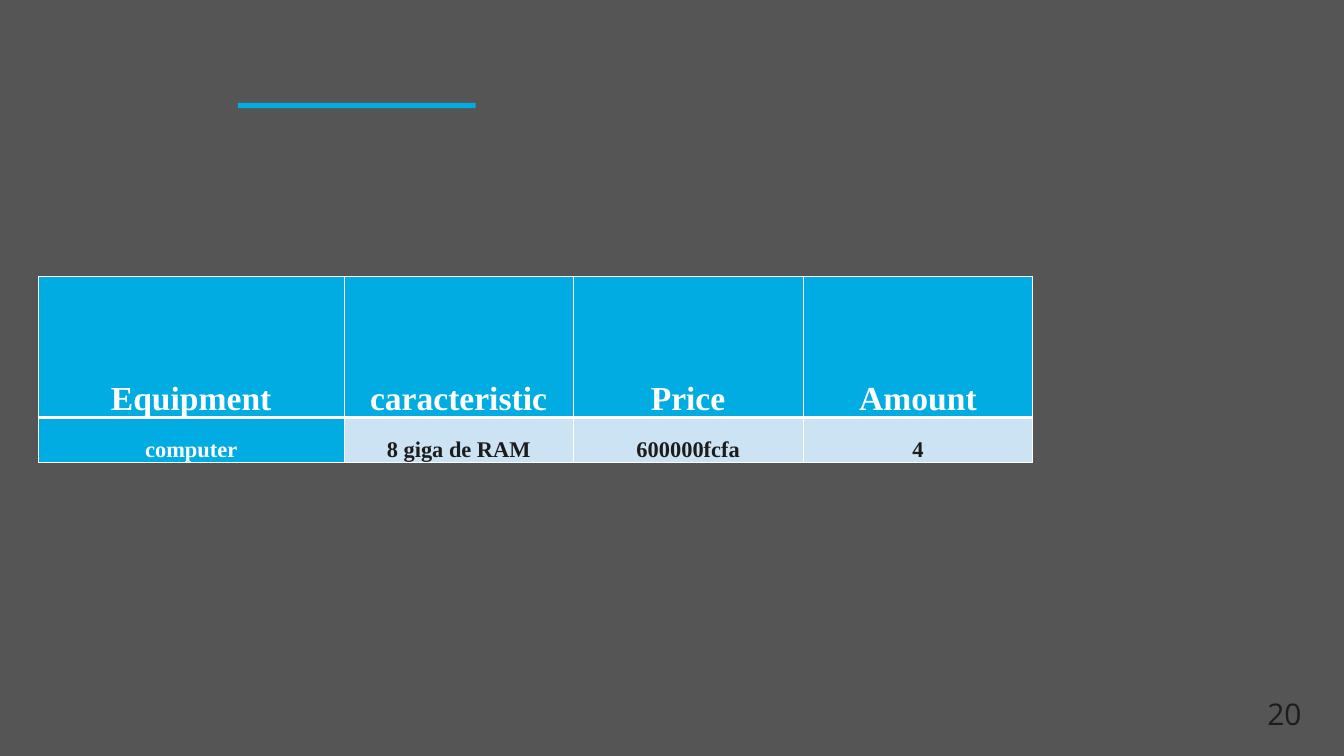
from lxml.etree import SubElement
from pptx import Presentation
from pptx.dml.color import RGBColor
from pptx.enum.shapes import MSO_SHAPE
from pptx.enum.text import MSO_ANCHOR, PP_ALIGN
from pptx.oxml.ns import qn
from pptx.util import Inches, Pt

BACKGROUND = "555555"
ACCENT = "00ACE2"
PALE_BLUE = "CCE3F4"
WHITE = "FFFFFF"
DARK = "1C1C1C"

EQUIPMENT = [
    ["Equipment", "caracteristic", "Price", "Amount"],
    ["computer", "8 giga de RAM", "600000fcfa", "4"],
]
COLUMN_WIDTHS = [4.55, 3.41, 3.42, 3.42]
ROW_HEIGHTS = [2.09, 0.67]


def paint(fill, color):
    fill.solid()
    fill.fore_color.rgb = RGBColor.from_string(color)


def write(text_frame, text, *, size, font, color, bold=False,
          align=PP_ALIGN.LEFT, spacing=1.0):
    paragraph = text_frame.paragraphs[0]
    paragraph.alignment = align
    paragraph.line_spacing = spacing
    run = paragraph.add_run()
    run.text = text
    run.font.size = Pt(size)
    run.font.name = font
    run.font.bold = bold
    run.font.color.rgb = RGBColor.from_string(color)


def set_borders(cell, color, **widths):
    """Draw the cell's sides; the lines must come before the fill."""
    properties = cell._tc.get_or_add_tcPr()
    for position, side in enumerate(("L", "R", "T", "B")):
        line = SubElement(properties, qn(f"a:ln{side}"),
                          w=str(Pt(widths.get(side, 1))))
        solid = SubElement(line, qn("a:solidFill"))
        SubElement(solid, qn("a:srgbClr"), val=color)
        properties.insert(position, line)


def add_accent_bar(slide, left, top, width, height):
    shape = slide.shapes.add_shape(MSO_SHAPE.RECTANGLE, Inches(left),
                                   Inches(top), Inches(width), Inches(height))
    shape.shadow.inherit = False
    paint(shape.fill, ACCENT)
    shape.line.fill.background()


def add_slide_number(slide, number):
    box = slide.shapes.add_textbox(Inches(18.76), Inches(10.32),
                                   Inches(1.18), Inches(0.6))
    text_frame = box.text_frame
    text_frame.word_wrap = True
    text_frame.vertical_anchor = MSO_ANCHOR.MIDDLE
    write(text_frame, number, size=32, font="Open Sans", color=DARK)


def add_equipment_table(slide, left, top):
    frame = slide.shapes.add_table(
        len(EQUIPMENT), len(COLUMN_WIDTHS), Inches(left), Inches(top),
        Inches(sum(COLUMN_WIDTHS)), Inches(sum(ROW_HEIGHTS)))
    table = frame.table
    for column, width in zip(table.columns, COLUMN_WIDTHS):
        column.width = Inches(width)
    for row, height in zip(table.rows, ROW_HEIGHTS):
        row.height = Inches(height)

    for row_index, values in enumerate(EQUIPMENT):
        header = row_index == 0
        for column_index, value in enumerate(values):
            cell = table.cell(row_index, column_index)
            accented = header or column_index == 0
            cell.vertical_anchor = MSO_ANCHOR.BOTTOM
            cell.margin_left = cell.margin_right = Inches(0.03)
            cell.margin_top = cell.margin_bottom = 0
            paint(cell.fill, ACCENT if accented else PALE_BLUE)
            # A thicker rule separates the header from the body
            rule = 3 if header else 1
            set_borders(cell, WHITE, B=rule, T=1 if header else 3)
            write(cell.text_frame, value, size=36 if header else 24,
                  font="Times New Roman", color=WHITE if accented else DARK,
                  bold=True, align=PP_ALIGN.CENTER, spacing=1.07)


def main():
    presentation = Presentation()
    presentation.slide_width = Inches(20)
    presentation.slide_height = Inches(11.25)
    slide = presentation.slides.add_slide(presentation.slide_layouts[6])
    paint(slide.background.fill, BACKGROUND)

    # Decoration and page number
    add_accent_bar(slide, 3.54, 1.53, 3.54, 0.08)
    add_slide_number(slide, "20")

    # Equipment costs
    add_equipment_table(slide, 0.57, 4.12)
    presentation.save("out.pptx")


if __name__ == "__main__":
    main()
